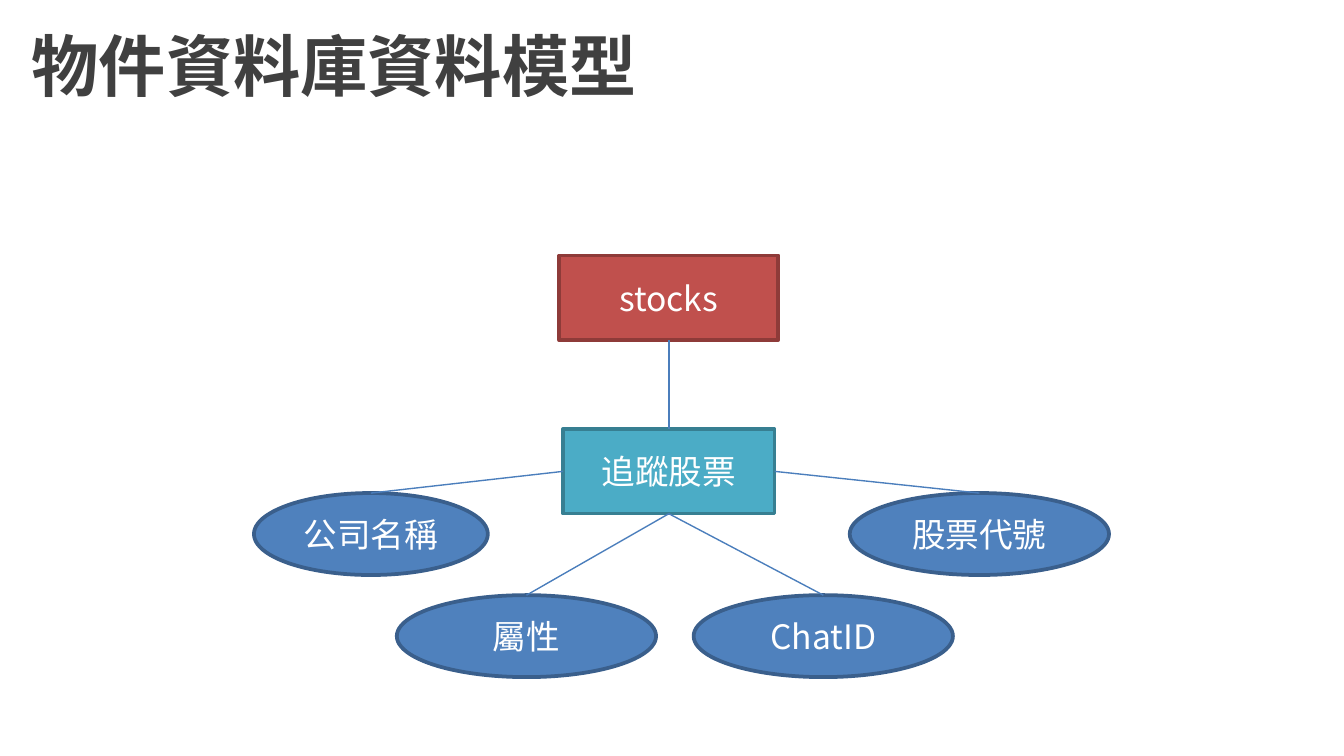
from lxml import etree
from pptx import Presentation
from pptx import util as u
from pptx.dml.color import RGBColor
from pptx.enum import shapes, text
from pptx.oxml.ns import qn

WHITE = RGBColor(0xFF, 0xFF, 0xFF)
GRAY = RGBColor(0x40, 0x40, 0x40)
RED = RGBColor(0xC0, 0x50, 0x4D)
DARK_RED = RGBColor(0x8E, 0x3B, 0x39)
TEAL = RGBColor(0x4B, 0xAC, 0xC6)
DARK_TEAL = RGBColor(0x37, 0x7F, 0x92)
BLUE = RGBColor(0x4F, 0x81, 0xBD)
DARK_BLUE = RGBColor(0x3A, 0x5F, 0x8C)
LINK_BLUE = RGBColor(0x4B, 0x7E, 0xBC)

RECTANGLE = shapes.MSO_SHAPE.RECTANGLE
OVAL = shapes.MSO_SHAPE.OVAL
TOP, LEFT, BOTTOM, RIGHT = range(4)


class ModelSlide:
    title_font = "Arial"
    node_font = "Noto Sans CJK KR"

    def __init__(self, deck):
        self.page = deck.slides.add_slide(deck.slide_layouts[6])

    def add_span(self, para, words, font, size, color, bold=False):
        span = para.add_run()
        span.text = words
        span.font.name = font
        span.font.size = u.Pt(size)
        span.font.color.rgb = color
        span.font.bold = bold
        east_asian = etree.SubElement(span.font._element, qn("a:ea"))
        east_asian.set("typeface", self.node_font)

    def title(self, words):
        box = self.page.shapes.add_textbox(0, 0, u.Cm(25.4), u.Cm(2.46))
        frame = box.text_frame
        frame.word_wrap = True
        frame.margin_left = u.Cm(0.6)
        frame.vertical_anchor = text.MSO_ANCHOR.MIDDLE
        self.add_span(frame.paragraphs[0], words, self.title_font, 36, GRAY, True)

    def node(self, words, kind, bounds, fill, border):
        box = self.page.shapes.add_shape(kind, *map(u.Cm, bounds))
        box.shadow.inherit = False
        box.fill.solid()
        box.fill.fore_color.rgb = fill
        box.line.color.rgb = border
        box.line.width = u.Pt(2)
        frame = box.text_frame
        frame.word_wrap = True
        frame.vertical_anchor = text.MSO_ANCHOR.MIDDLE
        para = frame.paragraphs[0]
        para.alignment = text.PP_ALIGN.CENTER
        self.add_span(para, words, self.node_font, 18, WHITE)
        return box

    def link(self, parent, side, child):
        line = self.page.shapes.add_connector(shapes.MSO_CONNECTOR.STRAIGHT, 0, 0, 0, 0)
        line.begin_connect(parent, side)
        line.end_connect(child, TOP)
        line.line.color.rgb = LINK_BLUE
        line.line.width = u.Pt(0.75)
        etree.SubElement(line._element.spPr, qn("a:effectLst"))


def main():
    deck = Presentation()
    deck.slide_width = u.Cm(25.4)
    deck.slide_height = u.Cm(14.29)

    slide = ModelSlide(deck)
    slide.title("物件資料庫資料模型")

    stocks = slide.node("stocks", RECTANGLE, (10.57, 4.83, 4.14, 1.6), RED, DARK_RED)
    tracked = slide.node("追蹤股票", RECTANGLE, (10.64, 8.11, 4, 1.6), TEAL, DARK_TEAL)
    slide.link(stocks, BOTTOM, tracked)

    attributes = [
        ("公司名稱", 4.8, 9.32, 4.42, LEFT),
        ("股票代號", 16.06, 9.32, 4.9, RIGHT),
        ("屬性", 7.5, 11.25, 4.9, BOTTOM),
        ("ChatID", 13.11, 11.25, 4.9, BOTTOM),
    ]
    for words, left, top, width, side in attributes:
        attribute = slide.node(words, OVAL, (left, top, width, 1.55), BLUE, DARK_BLUE)
        slide.link(tracked, side, attribute)

    deck.save("out.pptx")


if __name__ == "__main__":
    main()
